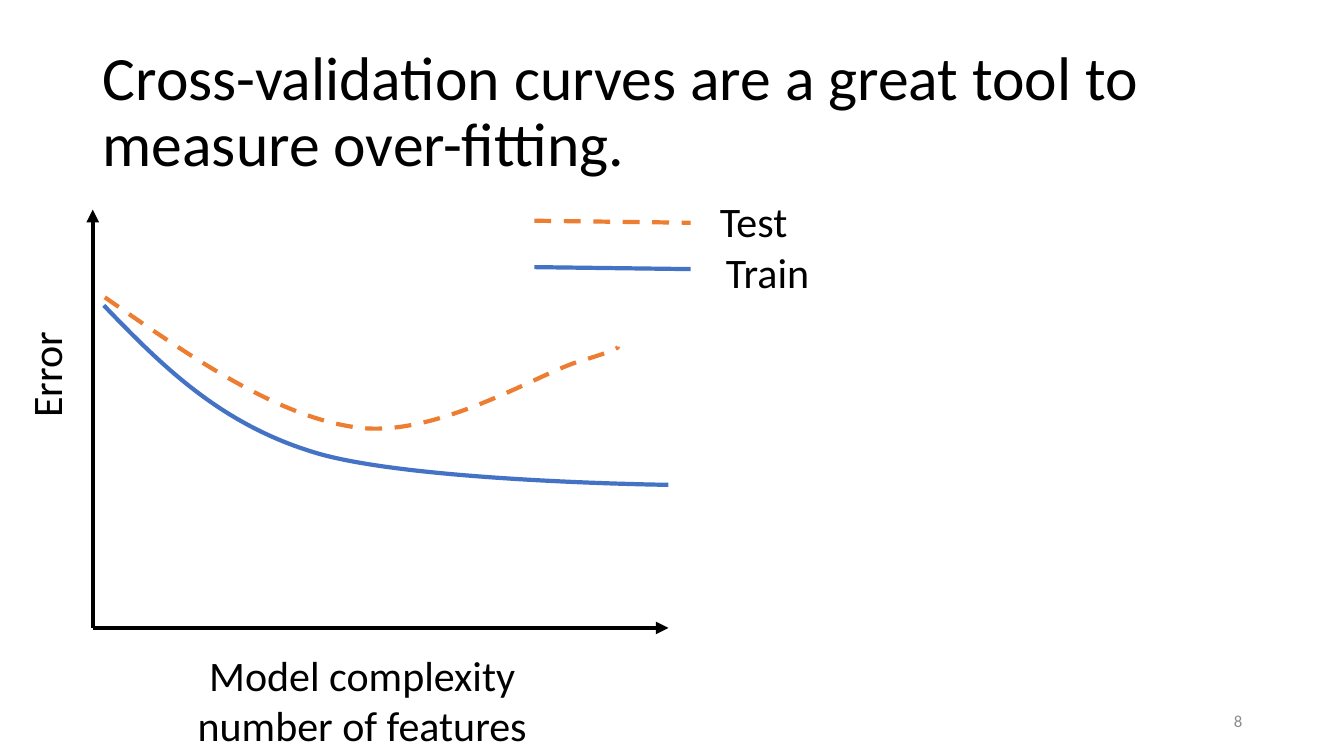
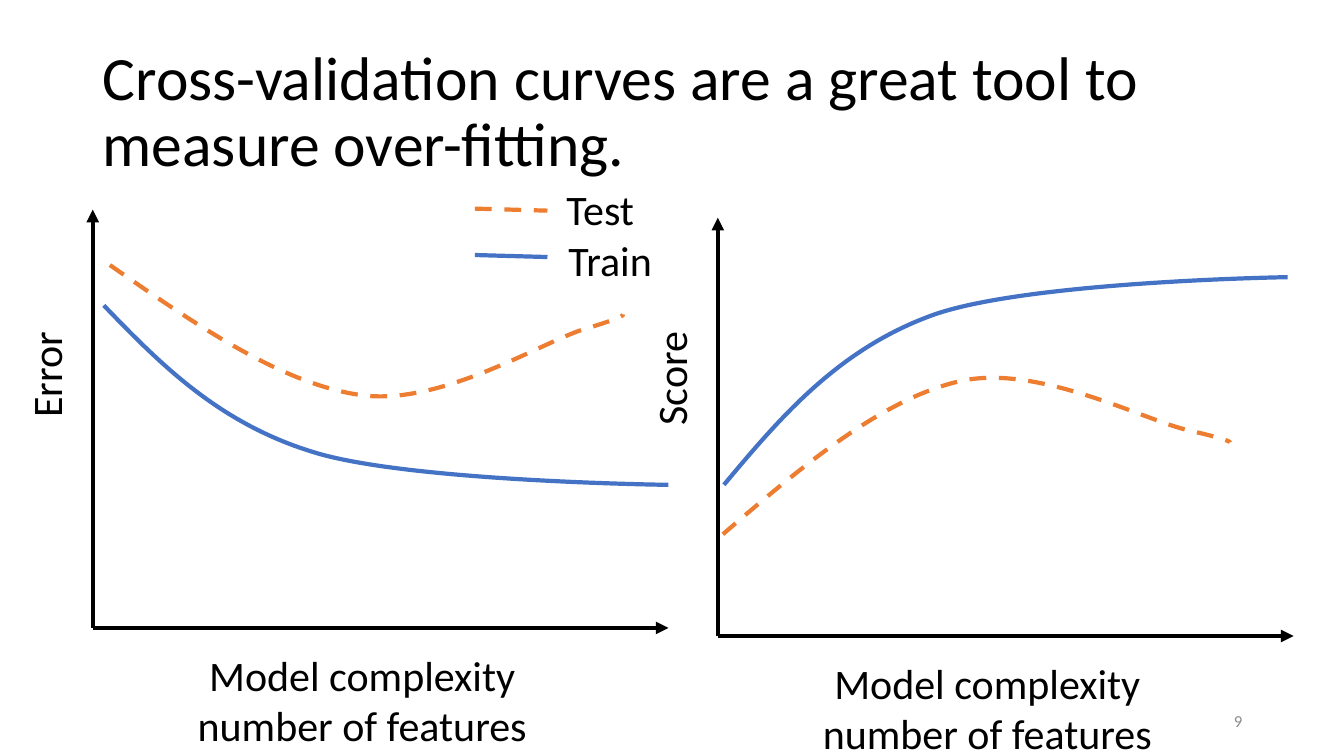
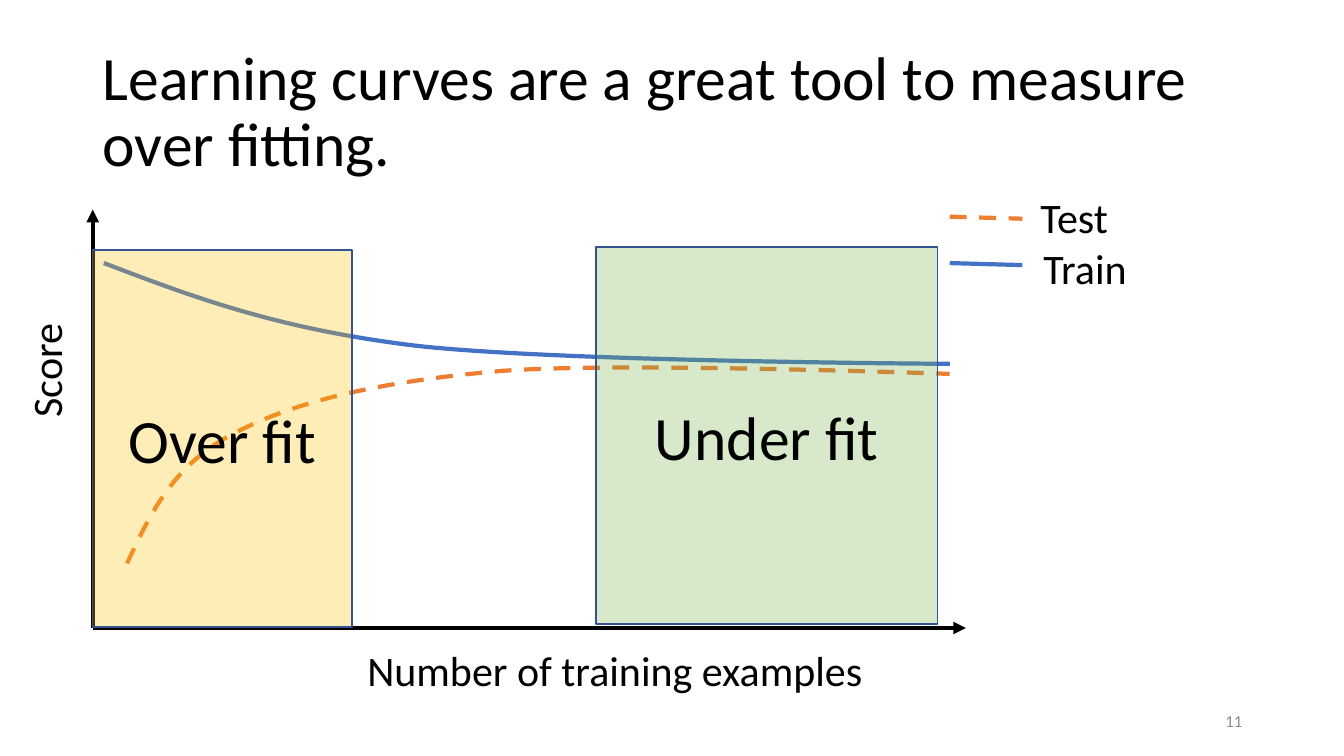
from dataclasses import dataclass

from pptx import Presentation
from pptx.dml.color import RGBColor
from pptx.enum.dml import MSO_LINE
from pptx.enum.shapes import MSO_CONNECTOR, MSO_SHAPE
from pptx.enum.text import MSO_ANCHOR, PP_ALIGN
from pptx.oxml.ns import qn
from pptx.oxml.xmlchemy import OxmlElement
from pptx.slide import Slide
from pptx.text.text import TextFrame
from pptx.util import Pt

SCALE = 9144
Point = tuple[int, int]


@dataclass(frozen=True)
class Theme:
    """Colours, type sizes and line widths that all slides share."""
    font: str = "Calibri"
    ink: str = "000000"
    grey: str = "8C8C8C"
    test: str = "ED7D31"
    train: str = "4472C4"
    edge: str = "325491"
    gold: str = "FFC000"
    green: str = "70AD47"
    head: int = 44
    body: int = 30
    small: int = 12
    stroke: int = 3
    alpha: int = 28


@dataclass(frozen=True)
class Axes:
    """A pair of axes from one origin, with the names of both."""
    x: int
    y: int
    width: int
    label: str
    lines: tuple[str, ...]
    shift: Point = (11, 16)


@dataclass(frozen=True)
class Curve:
    """A smooth line: a start, then three points for each bend."""
    points: tuple[Point, ...]
    test: bool = False


@dataclass(frozen=True)
class Legend:
    """The key: line start, line width, text starts and right edge."""
    x: int
    y: int
    width: int
    test: int
    train: int
    right: int


@dataclass(frozen=True)
class Zone:
    """A tinted area with a large name."""
    text: str
    color: str
    x: int
    y: int
    width: int


@dataclass(frozen=True)
class Page:
    """All that one slide shows."""
    title: str
    number: int
    axes: tuple[Axes, ...]
    curves: tuple[Curve, ...]
    legend: Legend
    zones: tuple[Zone, ...] = ()


THEME = Theme()


def px(count: int) -> int:
    """Turn px into EMU."""
    return count * SCALE


def rgb(code: str) -> RGBColor:
    """Read a hex colour."""
    return RGBColor.from_string(code)


def write(frame: TextFrame, lines: tuple[str, ...], size: int, color: str = THEME.ink,
          align: PP_ALIGN = PP_ALIGN.LEFT, space: float = 1.0) -> None:
    """Fill a text frame, one paragraph a line."""
    frame.word_wrap = True
    for index, line in enumerate(lines):
        para = frame.add_paragraph() if index else frame.paragraphs[0]
        para.text = line
        para.alignment = align
        para.line_spacing = space
        para.font.name = THEME.font
        para.font.size = Pt(size)
        para.font.color.rgb = rgb(color)


def add_text(slide: Slide, box: tuple[int, int, int, int], lines: tuple[str, ...],
             size: int = THEME.body, color: str = THEME.ink,
             align: PP_ALIGN = PP_ALIGN.LEFT, space: float = 1.0,
             anchor: MSO_ANCHOR = MSO_ANCHOR.TOP, turn: int = 0) -> None:
    """Add a text box, turned if asked."""
    shape = slide.shapes.add_textbox(*map(px, box))
    shape.rotation = turn
    frame = shape.text_frame
    frame.vertical_anchor = anchor
    if turn:
        frame.margin_right = 0
    write(frame, lines, size, color, align, space)


def add_line(slide: Slide, start: Point, end: Point, color: str,
             dash: bool = False, arrow: bool = False) -> None:
    """Add a straight line."""
    line = slide.shapes.add_connector(MSO_CONNECTOR.STRAIGHT, *map(px, start + end))
    line.line.color.rgb = rgb(color)
    line.line.width = Pt(THEME.stroke)
    if dash:
        line.line.dash_style = MSO_LINE.DASH
    if arrow:
        tip = OxmlElement("a:tailEnd")
        tip.set("type", "triangle")
        line.line._get_or_add_ln().append(tip)
    line._element.spPr.append(OxmlElement("a:effectLst"))


def add_axes(slide: Slide, axes: Axes) -> None:
    """Add both arrows and their names."""
    start = (axes.x, axes.y)
    for end in ((axes.x, axes.y - 415), (axes.x + axes.width, axes.y)):
        add_line(slide, start, end, THEME.ink, arrow=True)
    add_text(slide, (axes.x - 103, axes.y - 286, 113, 61), (axes.label,), turn=270)
    left, top = axes.x + axes.shift[0], axes.y + axes.shift[1]
    add_text(slide, (left, top, 522, 11 + 50 * len(axes.lines)), axes.lines,
             align=PP_ALIGN.CENTER)


def add_curve(slide: Slide, curve: Curve) -> None:
    """Add an open outline and bend it into cubic arcs."""
    start, *rest = curve.points
    outline = slide.shapes.build_freeform(*start, scale=SCALE)
    outline.add_line_segments(rest, close=False)
    shape = outline.convert_to_shape()
    shape.shadow.inherit = False
    shape.fill.background()
    shape.line.color.rgb = rgb(THEME.test if curve.test else THEME.train)
    shape.line.width = Pt(THEME.stroke)
    if curve.test:
        shape.line.dash_style = MSO_LINE.DASH
    parts = list(shape._element.iter(qn("a:lnTo")))
    for index in range(0, len(parts), 3):
        arc = OxmlElement("a:cubicBezTo")
        parts[index].addprevious(arc)
        for part in parts[index:index + 3]:
            arc.append(part[0])
            part.getparent().remove(part)


def add_legend(slide: Slide, key: Legend) -> None:
    """Add the two sample lines and their names."""
    rows = (("Test", key.test, 0, -30, THEME.test),
            ("Train", key.train, 46, 21, THEME.train))
    for name, left, drop, rise, color in rows:
        top = key.y + drop
        add_line(slide, (key.x, top), (key.x + key.width, top + 2), color, name == "Test")
        add_text(slide, (left, key.y + rise, key.right - left, 61), (name,))


def add_zone(slide: Slide, zone: Zone) -> None:
    """Add a clear tinted box."""
    shape = slide.shapes.add_shape(
        MSO_SHAPE.RECTANGLE, *map(px, (zone.x, zone.y, zone.width, 374)))
    shape.shadow.inherit = False
    shape.fill.solid()
    shape.fill.fore_color.rgb = rgb(zone.color)
    alpha = OxmlElement("a:alpha")
    alpha.set("val", str(THEME.alpha * 1000))
    next(shape._element.spPr.iter(qn("a:srgbClr"))).append(alpha)
    shape.line.color.rgb = rgb(THEME.edge)
    shape.line.width = Pt(1)
    shape.text_frame.vertical_anchor = MSO_ANCHOR.MIDDLE
    write(shape.text_frame, (zone.text,), THEME.head, align=PP_ALIGN.CENTER)


def add_page(slide: Slide, page: Page) -> None:
    """Draw one page."""
    add_text(slide, (92, 40, 1150, 145), (page.title,), THEME.head, space=0.9,
             anchor=MSO_ANCHOR.MIDDLE)
    add_text(slide, (942, 695, 300, 40), (str(page.number),), THEME.small, THEME.grey,
             PP_ALIGN.RIGHT, anchor=MSO_ANCHOR.MIDDLE)
    for axes in page.axes:
        add_axes(slide, axes)
    for curve in page.curves:
        add_curve(slide, curve)
    add_legend(slide, page.legend)
    for zone in page.zones:
        add_zone(slide, zone)


def move(curve: Curve, right: int, down: int) -> Curve:
    """Shift a curve."""
    return Curve(tuple((x + right, y + down) for x, y in curve.points), curve.test)


CROSS = "Cross-validation curves are a great tool to measure over-fitting."
MODEL = ("Model complexity ", "number of features ")
ERROR = Axes(92, 623, 571, "Error", MODEL)
SCORE = Axes(712, 631, 571, "Score", MODEL)
SIZE = Axes(92, 623, 866, "Score", ("Number of training examples",), (257, 11))

LOSS = Curve(((103, 303), (159, 361), (216, 419), (309, 448),
              (402, 478), (663, 481), (663, 481)))
BOWL = Curve(((104, 295), (189, 354), (274, 413), (353, 424), (431, 435), (530, 373),
              (573, 359), (617, 346), (613, 344), (613, 344)), True)
GAIN = Curve(((718, 481), (774, 414), (831, 347), (924, 313),
              (1017, 279), (1277, 275), (1277, 275)))
HILL = Curve(((717, 530), (796, 462), (876, 395), (953, 378), (1030, 361), (1135, 417),
              (1179, 427), (1223, 437), (1220, 439), (1220, 439)), True)
FALL = Curve(((103, 261), (187, 293), (272, 326), (412, 343),
              (552, 359), (942, 361), (942, 361)))
RISE = Curve(((126, 559), (149, 510), (172, 460), (234, 429), (296, 397), (380, 378),
              (498, 368), (616, 359), (942, 371), (942, 371)), True)

PAGES = (
    Page(CROSS, 8, (ERROR,), (BOWL, LOSS), Legend(530, 219, 155, 704, 710, 955)),
    Page(CROSS, 9, (ERROR, SCORE), (move(BOWL, 5, -32), LOSS, HILL, GAIN),
         Legend(471, 207, 72, 552, 554, 668)),
    Page("Learning curves are a great tool to measure over fitting.", 11, (SIZE,),
         (FALL, RISE), Legend(942, 215, 72, 1022, 1025, 1138),
         (Zone("Over fit", THEME.gold, 92, 248, 257),
          Zone("Under fit", THEME.green, 591, 245, 339))),
)


def main() -> None:
    """Build and save the deck."""
    deck = Presentation()
    deck.slide_width, deck.slide_height = px(1333), px(750)
    for page in PAGES:
        add_page(deck.slides.add_slide(deck.slide_layouts[6]), page)
    deck.save("out.pptx")


if __name__ == "__main__":
    main()
